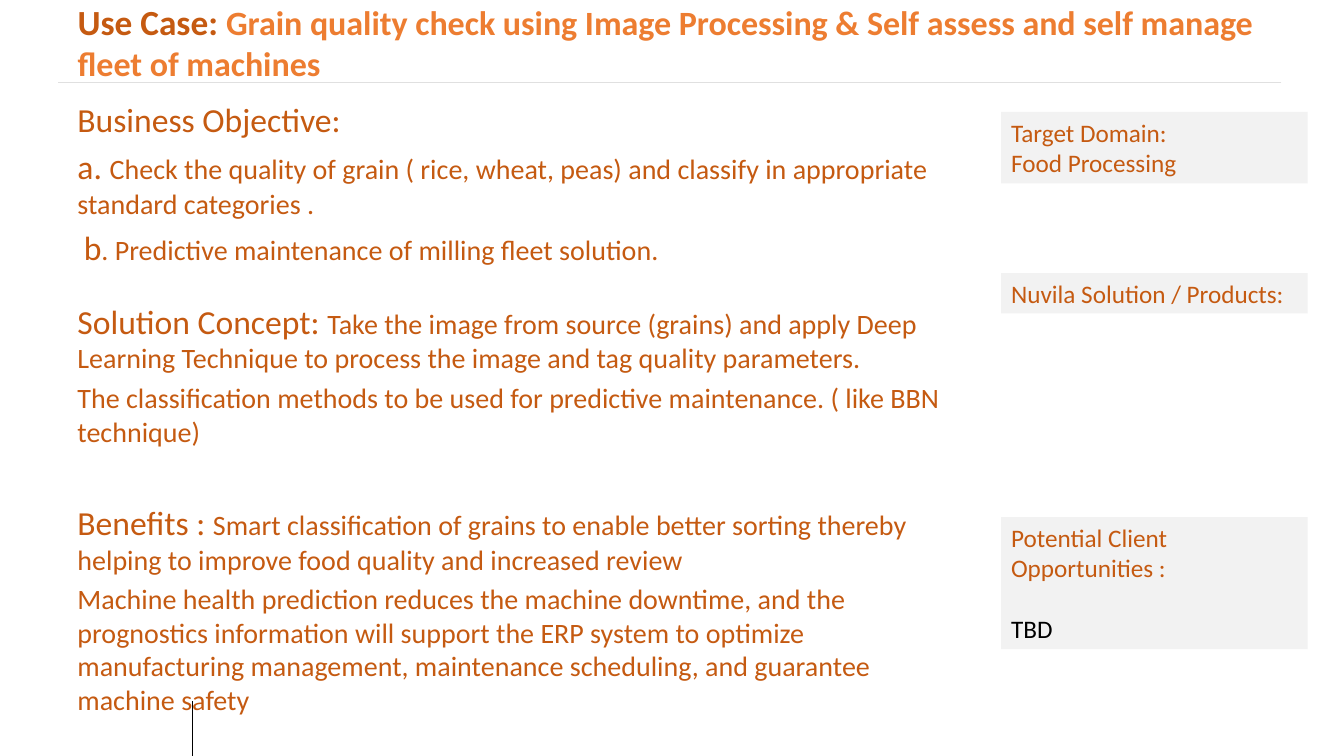
from pptx import Presentation
from pptx.dml.color import RGBColor
from pptx.enum.shapes import MSO_CONNECTOR, MSO_SHAPE
from pptx.enum.text import MSO_ANCHOR, MSO_AUTO_SIZE, PP_ALIGN
from pptx.oxml.ns import qn
from pptx.util import Inches, Pt
from lxml import etree

STRAIGHT = MSO_CONNECTOR.STRAIGHT
RECTANGLE = MSO_SHAPE.RECTANGLE
TOP, MIDDLE = MSO_ANCHOR.TOP, MSO_ANCHOR.MIDDLE
LEFT = PP_ALIGN.LEFT
NO_FIT = MSO_AUTO_SIZE.NONE

FONT = "Calibri"
RUST, ORANGE, BLACK = "C55A11", "ED7D31", "000000"
PANEL, RULE = "F2F2F2", "E0E0E0"

TITLE = [
    ("Use Case: ", 25.2, RUST),
    ("Grain quality check using Image Processing & Self assess and self manage fleet of machines",
     24.3, ORANGE),
]

BODY = [
    (0, [("Business Objective:", 24, RUST)]),
    (4.8, [("a. ", 24, RUST),
           ("Check the quality of grain ( rice, wheat, peas) and classify in appropriate "
            "standard categories .", 20, RUST)]),
    (5.5, [(" ", 20, RUST),
           ("b", 24, RUST),
           (". Predictive maintenance of milling fleet solution.", 20, RUST)]),
    (23.5, [("Solution Concept: ", 24, RUST),
            ("Take the image from source (grains) and apply Deep Learning Technique "
             "to process the image and tag quality parameters.", 20, RUST)]),
    (4.5, [("The classification methods to be used for predictive maintenance. "
            "( like BBN technique)", 20, RUST)]),
    (38.5, [("Benefits : ", 24, RUST),
            ("Smart classification of grains to enable better sorting thereby "
             "helping to improve food quality and increased review", 20, RUST)]),
    (4, [("Machine health prediction reduces the machine downtime, and the\v"
          "prognostics information will support the ERP system to optimize\v"
          "manufacturing management, maintenance scheduling, and guarantee\v"
          "machine safety", 20, RUST)]),
]

PANELS = [
    (1.11, 0.71, [(0, [("Target Domain:", 18, RUST)]),
                  (0, [("Food Processing", 18, RUST)])]),
    (2.71, 0.4, [(0, [("Nuvila Solution / Products:", 18, RUST)])]),
    (5.13, 1.31, [(0, [("Potential Client Opportunities :", 18, RUST)]),
                  (22, [("TBD", 18, BLACK)])]),
]


def color(value):
    return RGBColor.from_string(value)


def place(shape, left, top, width, height):
    shape.left, shape.top = Inches(left), Inches(top)
    shape.width, shape.height = Inches(width), Inches(height)


def add_span(para, text, size, ink, bold):
    span = para.add_run()
    span.text = text
    span.font.name = FONT
    span.font.size = Pt(size)
    span.font.bold = bold
    span.font.color.rgb = color(ink)


def write(frame, paragraphs, anchor=TOP, bold=False):
    frame.word_wrap = True
    frame.auto_size = NO_FIT
    frame.vertical_anchor = anchor
    for index, (space, spans) in enumerate(paragraphs):
        para = frame.add_paragraph() if index else frame.paragraphs[0]
        para.alignment = LEFT
        para.space_before = Pt(space)
        for text, size, ink in spans:
            for number, row in enumerate(text.split("\v")):
                if number:
                    para.add_line_break()
                add_span(para, row, size, ink, bold)


def add_line(page, start, end, ink, weight):
    line = page.shapes.add_connector(STRAIGHT, *map(Inches, start + end))
    line.line.color.rgb = color(ink)
    line.line.width = Pt(weight)
    etree.SubElement(line._element.spPr, qn("a:effectLst"))


def add_panel(page, top, height, paragraphs):
    panel = page.shapes.add_shape(
        RECTANGLE, Inches(9.93), Inches(top), Inches(3.04), Inches(height))
    panel.shadow.inherit = False
    panel.fill.solid()
    panel.fill.fore_color.rgb = color(PANEL)
    panel.line.fill.background()
    write(panel.text_frame, paragraphs)


def main():
    deck = Presentation()
    deck.slide_width, deck.slide_height = Inches(13.33), Inches(7.5)
    page = deck.slides.add_slide(deck.slide_layouts[5])

    add_line(page, (1.91, 7.5), (1.91, 6.95), BLACK, 1)
    add_line(page, (12.71, 0.82), (0.58, 0.82), RULE, 0.75)

    title = page.shapes.title
    place(title, 0.67, 0, 12, 0.82)
    write(title.text_frame, [(0, TITLE)], MIDDLE, True)

    body = page.shapes.add_textbox(Inches(0.67), Inches(0.93), Inches(9.14), Inches(5.77))
    write(body.text_frame, BODY)

    for top, height, paragraphs in PANELS:
        add_panel(page, top, height, paragraphs)

    deck.save("out.pptx")


if __name__ == "__main__":
    main()
